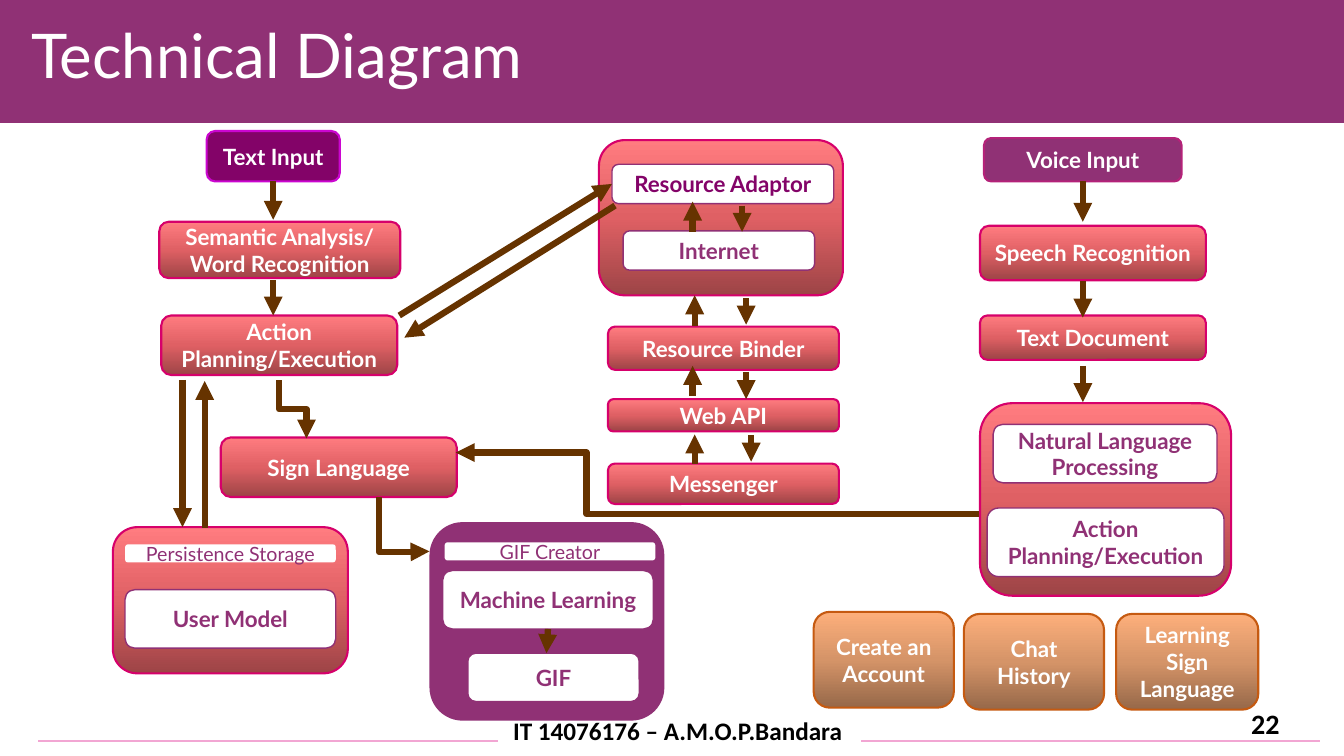
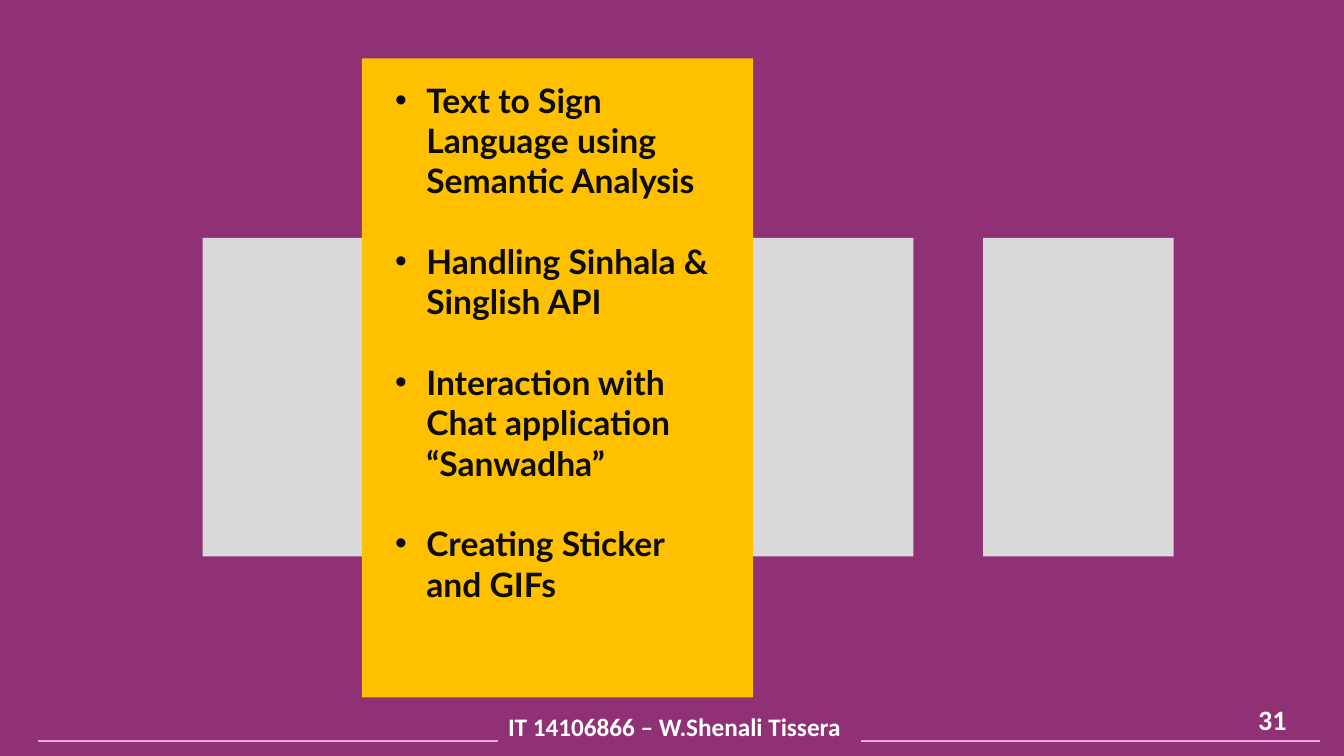
from copy import deepcopy

from lxml.etree import SubElement
from pptx import Presentation
from pptx.dml.color import RGBColor
from pptx.enum.shapes import MSO_CONNECTOR, MSO_SHAPE
from pptx.enum.text import MSO_ANCHOR, PP_ALIGN
from pptx.oxml.ns import qn
from pptx.util import Inches, Pt

PURPLE = RGBColor(0x90, 0x31, 0x75)
DEEP_PURPLE = RGBColor(0x83, 0x03, 0x68)
VIOLET = RGBColor(0xCB, 0x06, 0xD0)
MAGENTA = RGBColor(0xD6, 0x00, 0x6B)
BERRY = RGBColor(0xB4, 0x22, 0x79)
RUST = RGBColor(0xC5, 0x5A, 0x11)
BROWN = RGBColor(0x66, 0x33, 0x00)
PINK = RGBColor(0xF2, 0xA6, 0xD3)
GOLD = RGBColor(0xFF, 0xC0, 0x00)
GREY = RGBColor(0xD9, 0xD9, 0xD9)
INK = RGBColor(0x0D, 0x0D, 0x0D)
BLACK = RGBColor(0, 0, 0)
WHITE = RGBColor(0xFF, 0xFF, 0xFF)
CORAL_SHADES = (RGBColor(0x9D, 0x44, 0x46), RGBColor(0xDF, 0x60, 0x64), RGBColor(0xFF, 0x7C, 0x80))
ORANGE_SHADES = (RGBColor(0x96, 0x68, 0x49), RGBColor(0xD5, 0x94, 0x68), RGBColor(0xFD, 0xAF, 0x7B))

BODY_FONT = "Lato"
FOOTER_FONT = "Calibri"
SLIDE_WIDTH, SLIDE_HEIGHT = 13.33, 7.5
TOP, LEFT, BOTTOM = 0, 1, 2

# fill, line colour, line width, text colour, text size, bold
STYLES = {
    "step": (CORAL_SHADES, MAGENTA, 1.5, WHITE, 16, True),
    "feature": (ORANGE_SHADES, RUST, 1.5, WHITE, 16, True),
    "text input": (DEEP_PURPLE, VIOLET, 1.5, WHITE, 16, True),
    "voice input": (PURPLE, BERRY, 1.5, WHITE, 16, True),
    "part": (WHITE, PURPLE, 1, PURPLE, 16, True),
    "adaptor": (WHITE, PURPLE, 1, DEEP_PURPLE, 16, True),
    "group": (PURPLE, None, 0, WHITE, 16, True),
    "caption": (WHITE, None, 0, PURPLE, 14, False),
}

DIAGRAM = [
    ("step", "", (5.94, 1.39, 2.42, 1.54)),
    ("text input", "Text Input", (2.05, 1.3, 1.32, 0.5)),
    ("step", "Semantic Analysis/ Word Recognition", (1.58, 2.2, 2.39, 0.56)),
    ("step", "Action Planning/Execution", (1.6, 3.13, 2.34, 0.59)),
    ("adaptor", "Resource Adaptor", (6.07, 1.63, 2.2, 0.39)),
    ("part", "Internet", (6.18, 2.29, 1.9, 0.39)),
    ("step", "Resource Binder", (6.03, 3.24, 2.29, 0.43)),
    ("step", "Web API", (6.03, 3.96, 2.29, 0.32)),
    ("step", "Messenger", (6.03, 4.6, 2.29, 0.4)),
    ("voice input", "Voice Input", (9.76, 1.37, 1.96, 0.43)),
    ("step", "Speech Recognition", (9.72, 2.24, 2.24, 0.54)),
    ("step", "Text Document", (9.72, 3.13, 2.24, 0.44)),
    ("step", "", (9.72, 4, 2.49, 1.91)),
    ("part", "Natural Language Processing", (9.85, 4.21, 2.22, 0.58)),
    ("part", "Action Planning/Execution", (9.79, 5.04, 2.35, 0.68)),
    ("step", "Sign Language", (2.19, 4.34, 2.34, 0.59)),
    ("group", "", (4.26, 5.18, 2.33, 1.97)),
    ("part", "Machine Learning", (4.39, 5.66, 2.09, 0.58)),
    ("part", "GIF", (4.64, 6.48, 1.7, 0.48)),
    ("caption", "GIF Creator", (4.41, 5.38, 2.09, 0.18)),
    ("step", "", (1.12, 5.23, 2.33, 1.45)),
    ("part", "User Model", (1.24, 5.85, 2.09, 0.58)),
    ("caption", "Persistence Storage", (1.24, 5.4, 2.09, 0.18)),
    ("feature", "Create an Account", (8.07, 6.07, 1.39, 0.95)),
    ("feature", "Chat History", (9.56, 6.09, 1.39, 0.95)),
    ("feature", "Learning Sign Language", (11.07, 6.09, 1.41, 0.95)),
]

VERTICAL_ARROWS = [
    (2.71, 1.83, 2.18, ("Text Input", BOTTOM), None),
    (2.71, 2.78, 3.13, None, None),
    (1.81, 3.77, 5.23, None, None),
    (2.03, 5.24, 3.78, None, None),
    (5.42, 6.24, 6.48, ("Machine Learning", BOTTOM), None),
    (7.36, 2.04, 2.3, None, None),
    (7.4, 2.96, 3.22, None, None),
    (7.4, 3.69, 3.96, None, None),
    (7.45, 4.32, 4.58, None, None),
    (6.87, 2.3, 2, None, None),
    (6.89, 3.23, 2.93, None, None),
    (6.87, 3.93, 3.63, None, None),
    (6.89, 4.6, 4.31, None, None),
    (10.74, 1.85, 2.2, ("Voice Input", BOTTOM), None),
    (10.74, 2.79, 3.15, None, None),
    (10.74, 3.63, 3.99, None, None),
]
SLANTED_ARROWS = [
    ((3.96, 3.13), (6.07, 1.83), None, ("Resource Adaptor", LEFT)),
    ((6.1, 2.04), (4.01, 3.35), None, None),
]
DOWNWARD_BENDS = [
    ((2.77, 3.77), (3.04, 4.35), 0.5),
    ((3.76, 4.93), (4.26, 5.47), 1.01),
]
SIDEWAYS_BEND = ((9.71, 5.1), (4.52, 4.49), 0.75)

TOPICS = [
    "Text to Sign Language using Semantic Analysis",
    "Handling Sinhala & Singlish API",
    "Interaction with Chat application “Sanwadha”",
    "Creating Sticker and GIFs",
]


def add_run(paragraph, text, font, size, color, bold):
    run = paragraph.add_run()
    run.text = text
    run.font.name = font
    run.font.size = Pt(size)
    run.font.color.rgb = color
    run.font.bold = bold


def add_panel(slide, preset, place, fill, line=None, width=0):
    panel = slide.shapes.add_shape(preset, *map(Inches, place))
    panel.shadow.inherit = False
    if isinstance(fill, RGBColor):
        panel.fill.solid()
        panel.fill.fore_color.rgb = fill
    else:
        panel.fill.gradient()
        panel.fill.gradient_angle = 90
        stop_list = panel._element.spPr.find(qn("a:gradFill")).find(qn("a:gsLst"))
        stop_list.insert(1, deepcopy(stop_list[0]))
        for stop, shade, position in zip(panel.fill.gradient_stops, fill, (0, 0.5, 1)):
            stop.color.rgb = shade
            stop.position = position
    if line is None:
        panel.line.fill.background()
    else:
        panel.line.color.rgb = line
        panel.line.width = Pt(width)
    return panel


def add_box(slide, style, label, place):
    fill, line, width, color, size, bold = STYLES[style]
    box = add_panel(slide, MSO_SHAPE.ROUNDED_RECTANGLE, place, fill, line, width)
    if label:
        frame = box.text_frame
        frame.word_wrap = True
        frame.vertical_anchor = MSO_ANCHOR.MIDDLE
        paragraph = frame.paragraphs[0]
        paragraph.alignment = PP_ALIGN.CENTER
        add_run(paragraph, label, BODY_FONT, size, color, bold)
    return box


def add_text_area(slide, place, anchor=MSO_ANCHOR.TOP):
    frame = slide.shapes.add_textbox(*map(Inches, place)).text_frame
    frame.word_wrap = True
    frame.vertical_anchor = anchor
    return frame


def add_line(slide, start, end, color, width, kind=MSO_CONNECTOR.STRAIGHT):
    line = slide.shapes.add_connector(kind, *map(Inches, (*start, *end)))
    line.line.color.rgb = color
    line.line.width = Pt(width)
    SubElement(line._element.spPr, qn("a:effectLst"))
    return line


def add_arrow(slide, start, end, kind=MSO_CONNECTOR.STRAIGHT):
    arrow = add_line(slide, start, end, BROWN, 4.5, kind)
    SubElement(arrow.line._get_or_add_ln(), qn("a:tailEnd"), type="triangle")
    return arrow


def add_joined_arrow(slide, boxes, start, end, source, target):
    arrow = add_arrow(slide, start, end)
    if source:
        arrow.begin_connect(boxes[source[0]], source[1])
    if target:
        arrow.end_connect(boxes[target[0]], target[1])


def add_bend(slide, start, end, turn):
    bend = add_arrow(slide, start, end, MSO_CONNECTOR.ELBOW)
    geometry = bend._element.spPr.find(qn("a:prstGeom"))
    guides = geometry.find(qn("a:avLst"))
    if guides is None:
        guides = SubElement(geometry, qn("a:avLst"))
    SubElement(guides, qn("a:gd"), name="adj1", fmla=f"val {round(turn * 100000)}")
    return bend


def add_downward_bend(slide, start, end, turn):
    center_x, center_y = (start[0] + end[0]) / 2, (start[1] + end[1]) / 2
    half_run, half_drop = (end[0] - start[0]) / 2, (end[1] - start[1]) / 2
    bend = add_bend(
        slide,
        (center_x + half_drop, center_y - half_run),
        (center_x - half_drop, center_y + half_run),
        turn,
    )
    bend._element.spPr.find(qn("a:xfrm")).set("rot", str(270 * 60000))


def add_footer(slide, author, author_at, number, number_at, color):
    for left, right in ((0.38, 4.94), (8.54, 13.09)):
        add_line(slide, (left, 7.35), (right, 7.35), PINK, 1.5)
    number_line = add_text_area(slide, (*number_at, 3, 0.4), MSO_ANCHOR.MIDDLE).paragraphs[0]
    number_line.alignment = PP_ALIGN.RIGHT
    add_run(number_line, number, FOOTER_FONT, 20, color, True)
    author_line = add_text_area(slide, (*author_at, 4.05, 0.4)).paragraphs[0]
    add_run(author_line, author, FOOTER_FONT, 18, color, True)


def build_diagram(slide):
    add_panel(slide, MSO_SHAPE.RECTANGLE, (0, 0, SLIDE_WIDTH, 1.22), PURPLE)
    title = add_text_area(slide, (0.21, -0.22, 12.94, 1.6), MSO_ANCHOR.MIDDLE).paragraphs[0]
    title.line_spacing = 0.9
    add_run(title, "Technical Diagram", BODY_FONT, 44, WHITE, False)
    boxes = {label: add_box(slide, style, label, place) for style, label, place in DIAGRAM}
    for x, start_y, end_y, source, target in VERTICAL_ARROWS:
        add_joined_arrow(slide, boxes, (x, start_y), (x, end_y), source, target)
    for start, end, source, target in SLANTED_ARROWS:
        add_joined_arrow(slide, boxes, start, end, source, target)
    for start, end, turn in DOWNWARD_BENDS:
        add_downward_bend(slide, start, end, turn)
    add_bend(slide, *SIDEWAYS_BEND)
    add_footer(slide, "IT 14076176 – A.M.O.P.Bandara", (4.99, 7.05), "22", (9.79, 6.98), BLACK)


def build_topics(slide):
    add_panel(slide, MSO_SHAPE.RECTANGLE, (0, 0, SLIDE_WIDTH, SLIDE_HEIGHT), PURPLE)
    for column in (0, 2, 3):
        add_panel(slide, MSO_SHAPE.RECTANGLE, (2.01 + 2.58 * column, 2.36, 1.89, 3.16), GREY)
    add_panel(slide, MSO_SHAPE.RECTANGLE, (3.59, 0.58, 3.88, 6.34), GOLD)
    frame = add_text_area(slide, (3.82, 0.74, 3.42, 5.35))
    for index, topic in enumerate(TOPICS):
        paragraph = frame.add_paragraph() if index else frame.paragraphs[0]
        if index:
            paragraph.space_before = Pt(28.8)
        properties = paragraph._p.get_or_add_pPr()
        properties.set("marL", str(Inches(0.31)))
        properties.set("indent", str(-Inches(0.31)))
        SubElement(properties, qn("a:buFont"), typeface="Arial")
        SubElement(properties, qn("a:buChar"), char="•")
        add_run(paragraph, topic, BODY_FONT, 24, INK, True)
    add_footer(slide, "IT 14106866 – W.Shenali Tissera", (4.94, 7.01), "31", (9.86, 6.94), WHITE)


def main():
    deck = Presentation()
    deck.slide_width = Inches(SLIDE_WIDTH)
    deck.slide_height = Inches(SLIDE_HEIGHT)
    for build in (build_diagram, build_topics):
        build(deck.slides.add_slide(deck.slide_layouts[6]))
    deck.save("out.pptx")


if __name__ == "__main__":
    main()
